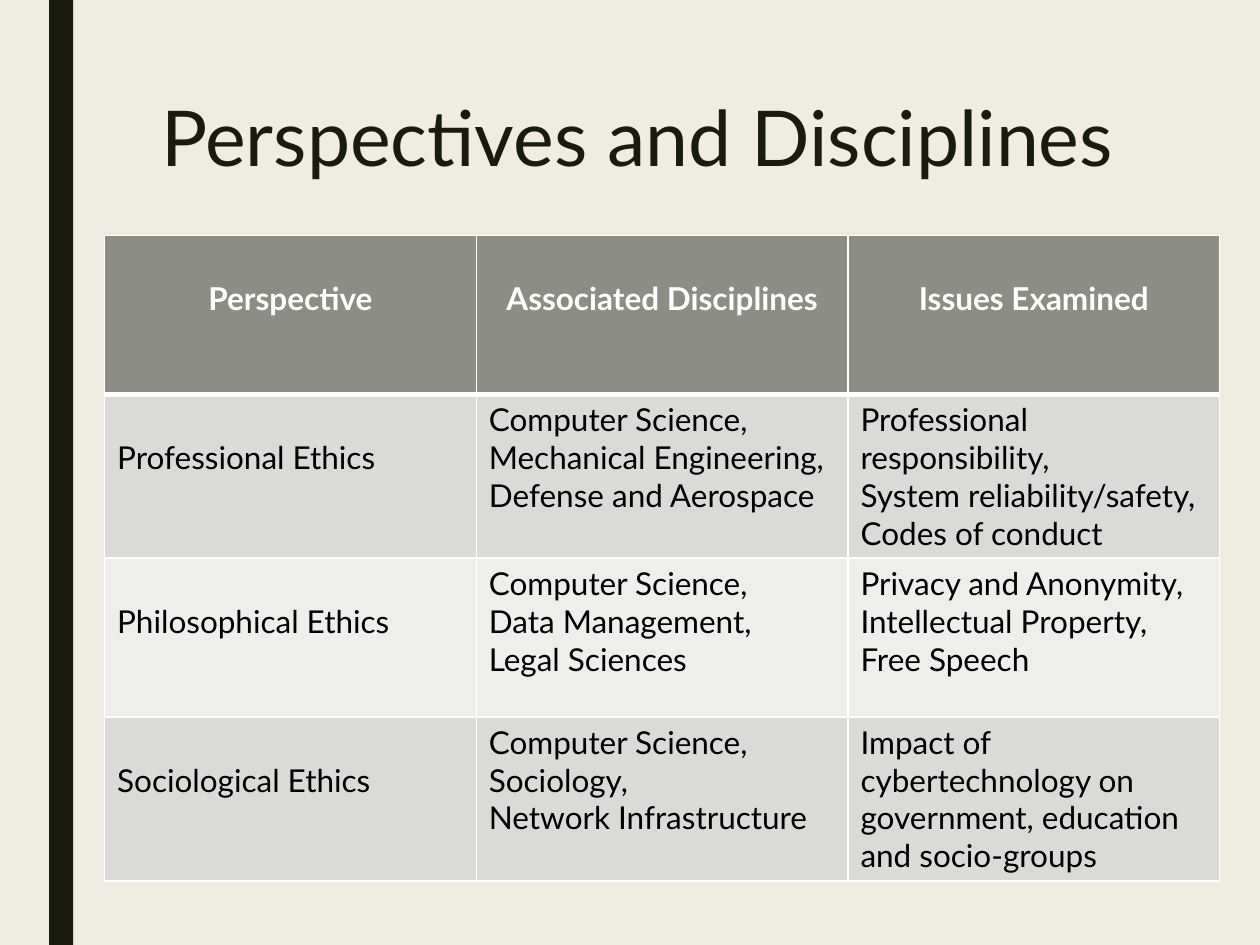
from dataclasses import dataclass

from lxml.etree import SubElement
from pptx import Presentation
from pptx.dml.color import RGBColor
from pptx.enum.shapes import MSO_SHAPE
from pptx.enum.text import MSO_ANCHOR, MSO_AUTO_SIZE, PP_ALIGN
from pptx.oxml.ns import qn
from pptx.slide import Slide
from pptx.table import _Cell as Cell
from pptx.util import Inches, Pt

FONT = "Lato"
CREAM = RGBColor(0xEF, 0xED, 0xE3)
DARK = RGBColor(0x19, 0x1B, 0x0E)
WHITE = RGBColor(0xFF, 0xFF, 0xFF)
BLACK = RGBColor(0x00, 0x00, 0x00)
HEADER_FILL = RGBColor(0x8C, 0x8D, 0x86)
BAND_FILLS = (RGBColor(0xEE, 0xEE, 0xED), RGBColor(0xDA, 0xDB, 0xD9))

HEADINGS = ("Perspective", "Associated Disciplines", "Issues Examined")
COLUMN_WIDTH = Inches(2.95)
ROW_HEIGHT = Inches(1.26)
TOP_MARGIN = Inches(0.05)
LOWERED_MARGIN = Inches(0.35)


@dataclass(frozen=True)
class Perspective:
    name: str
    disciplines: tuple[str, ...]
    issues: tuple[str, ...]


@dataclass(frozen=True)
class CellStyle:
    fill: RGBColor
    color: RGBColor
    bold: bool
    alignment: PP_ALIGN
    top_width: float
    bottom_width: float


PERSPECTIVES = (
    Perspective(
        "Professional Ethics",
        ("Computer Science,", "Mechanical Engineering,", "Defense and Aerospace"),
        ("Professional responsibility,", "System reliability/safety,", "Codes of conduct"),
    ),
    Perspective(
        "Philosophical Ethics",
        ("Computer Science,", "Data Management,", "Legal Sciences"),
        ("Privacy and Anonymity,", "Intellectual Property,", "Free Speech"),
    ),
    Perspective(
        "Sociological Ethics",
        ("Computer Science,", "Sociology,", "Network Infrastructure"),
        ("Impact of cybertechnology on government, education and socio-groups",),
    ),
)


def add_side_bar(slide: Slide) -> None:
    bar = slide.shapes.add_shape(
        MSO_SHAPE.RECTANGLE, Inches(0.39), 0, Inches(0.19), Inches(7.5)
    )
    bar.shadow.inherit = False
    bar.fill.solid()
    bar.fill.fore_color.rgb = DARK
    bar.line.fill.background()


def format_title(slide: Slide, text: str) -> None:
    title = slide.shapes.title
    title.left, title.top = Inches(1.12), Inches(0.75)
    title.width, title.height = Inches(7.88), Inches(1.62)
    frame = title.text_frame
    frame.text = text
    frame.word_wrap = True
    frame.auto_size = MSO_AUTO_SIZE.NONE
    frame.vertical_anchor = MSO_ANCHOR.TOP
    paragraph = frame.paragraphs[0]
    paragraph.alignment = PP_ALIGN.CENTER
    paragraph.line_spacing = 0.89
    paragraph.font.name = FONT
    paragraph.font.size = Pt(44)
    paragraph.font.color.rgb = DARK


def set_borders(cell: Cell, style: CellStyle) -> None:
    properties = cell._tc.get_or_add_tcPr()
    widths = {"L": 1, "R": 1, "T": style.top_width, "B": style.bottom_width}
    for side, width in widths.items():
        line = SubElement(properties, qn(f"a:ln{side}"), w=str(Pt(width)))
        fill = SubElement(line, qn("a:solidFill"))
        SubElement(fill, qn("a:srgbClr"), val=str(WHITE))


def fill_cell(cell: Cell, lines: tuple[str, ...], style: CellStyle, lowered: bool) -> None:
    set_borders(cell, style)
    cell.fill.solid()
    cell.fill.fore_color.rgb = style.fill
    cell.margin_top = LOWERED_MARGIN if lowered else TOP_MARGIN
    cell.text = "\n".join(lines)
    for paragraph in cell.text_frame.paragraphs:
        paragraph.alignment = style.alignment
        paragraph.font.name = FONT
        paragraph.font.size = Pt(18)
        paragraph.font.bold = style.bold
        paragraph.font.color.rgb = style.color


def add_perspective_table(slide: Slide) -> None:
    row_count, column_count = len(PERSPECTIVES) + 1, len(HEADINGS)
    table = slide.shapes.add_table(
        row_count, column_count, Inches(0.83), Inches(1.87),
        COLUMN_WIDTH * column_count, ROW_HEIGHT * row_count,
    ).table
    header = CellStyle(HEADER_FILL, WHITE, True, PP_ALIGN.CENTER, 1, 3)
    for column, heading in enumerate(HEADINGS):
        fill_cell(table.cell(0, column), (heading,), header, lowered=True)
    for row, perspective in enumerate(PERSPECTIVES, start=1):
        body = CellStyle(
            BAND_FILLS[row % 2], BLACK, False, PP_ALIGN.LEFT, 3 if row == 1 else 1, 1
        )
        contents = ((perspective.name,), perspective.disciplines, perspective.issues)
        for column, lines in enumerate(contents):
            fill_cell(table.cell(row, column), lines, body, lowered=column == 0)


def main() -> None:
    presentation = Presentation()
    presentation.slide_width = Inches(10)
    presentation.slide_height = Inches(7.5)
    slide = presentation.slides.add_slide(presentation.slide_layouts[5])
    slide.background.fill.solid()
    slide.background.fill.fore_color.rgb = CREAM
    add_side_bar(slide)
    format_title(slide, "Perspectives and Disciplines")
    add_perspective_table(slide)
    presentation.save("out.pptx")


if __name__ == "__main__":
    main()
